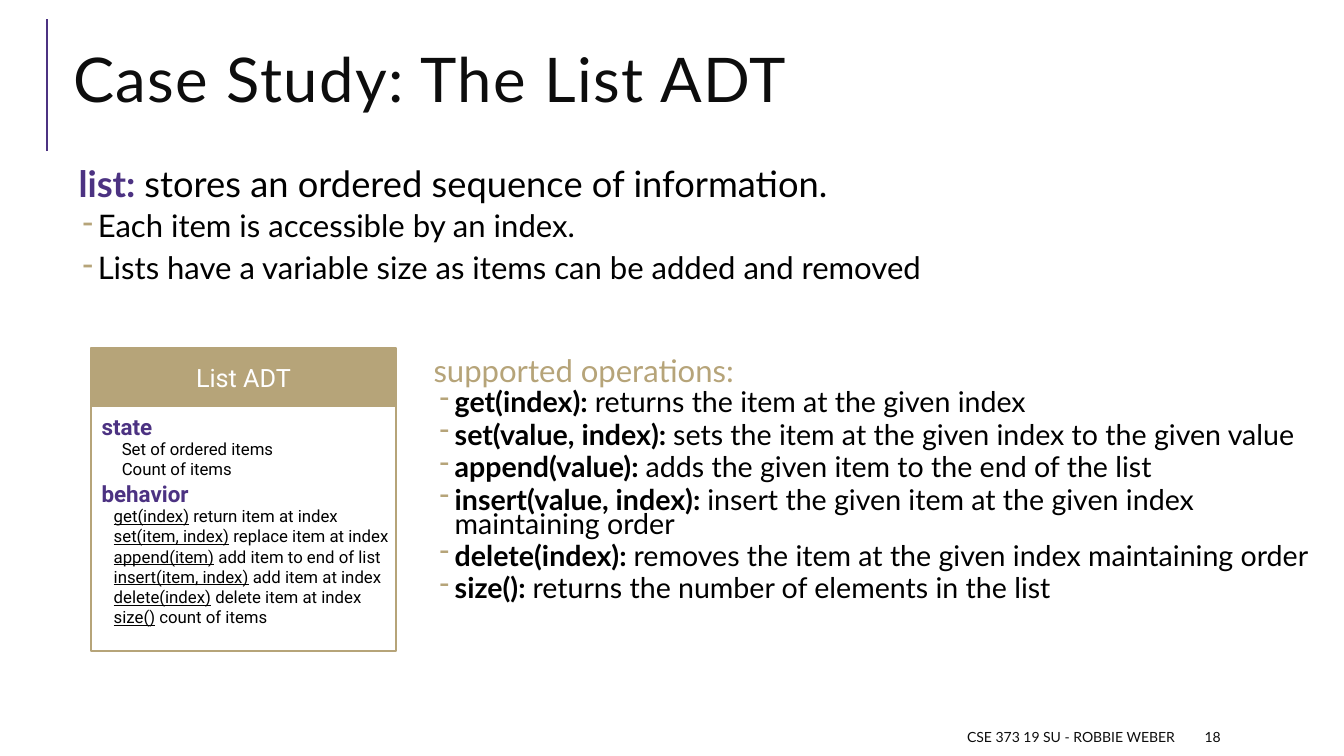
import pptx
import pptx.dml.color
import pptx.enum.shapes
import pptx.enum.text
import pptx.oxml
import pptx.oxml.ns
import pptx.util

Inches = pptx.util.Inches
Pt = pptx.util.Pt
ALIGN = pptx.enum.text.PP_ALIGN
ANCHOR = pptx.enum.text.MSO_ANCHOR
SHAPES = pptx.enum.shapes.MSO_SHAPE

COLORS = {
    "purple": "4C3282",
    "gold": "B6A479",
    "ink": "0D0D0D",
    "black": "000000",
    "white": "FFFFFF",
}

DEFINITION = [("list: ", {"bold": True, "color": "purple"}),
              ("stores an ordered sequence of information.", {})]
PROPERTIES = ["Each item is accessible by an index.",
              "Lists have a variable size as items can be added and removed"]
STATE = ["Set of ordered items", "Count of items"]
BEHAVIOR = [
    ("get(index)", "return item at index"),
    ("set(item, index)", "replace item at index"),
    ("append(item)", "add item to end of list"),
    ("insert(item, index)", "add item at index"),
    ("delete(index)", "delete item at index"),
    ("size()", "count of items"),
]
OPERATIONS = [
    ("get(index):", "returns the item at the given index"),
    ("set(value, index):", "sets the item at the given index to the given value"),
    ("append(value):", "adds the given item to the end of the list"),
    ("insert(value, index):", "insert the given item at the given index maintaining order"),
    ("delete(index):", "removes the item at the given index maintaining order"),
    ("size():", "returns the number of elements in the list"),
]


def rgb(name):
    return pptx.dml.color.RGBColor.from_string(COLORS[name])


def add_dash(paragraph):
    properties = paragraph._p.get_or_add_pPr()
    properties.set("marL", str(Inches(0.29)))
    properties.set("indent", str(Inches(-0.15)))
    color = pptx.oxml.parse_xml(
        f'<a:buClr {pptx.oxml.ns.nsdecls("a")}><a:srgbClr val="{COLORS["gold"]}"/></a:buClr>')
    dash = pptx.oxml.parse_xml(f'<a:buChar {pptx.oxml.ns.nsdecls("a")} char="-"/>')
    properties.extend([color, dash])


def write(frame, runs, *, size, font="Lato", color="black", align=ALIGN.LEFT,
          dash=False, line=1.0, before=0, after=0, indent=0, tracking=0):
    """Add one paragraph; runs is a string or a list of (text, run format) pairs."""
    first = not frame.paragraphs[0].runs
    paragraph = frame.paragraphs[0] if first else frame.add_paragraph()
    paragraph.alignment = align
    paragraph.line_spacing = line
    paragraph.space_before = Pt(0 if first else before)
    paragraph.space_after = Pt(after)
    if dash:
        add_dash(paragraph)
    elif indent:
        paragraph._p.get_or_add_pPr().set("marL", str(Inches(indent)))
    for text, style in [(runs, {})] if isinstance(runs, str) else runs:
        run = paragraph.add_run()
        run.text = text
        run.font.size = Pt(size)
        run.font.name = font
        run.font.bold = style.get("bold", False)
        run.font.underline = style.get("underline", False)
        run.font.color.rgb = rgb(style.get("color", color))
        if tracking:
            run._r.get_or_add_rPr().set("spc", str(tracking * 100))


def add_frame(slide, box, anchor=ANCHOR.TOP, inset=None):
    frame = slide.shapes.add_textbox(*map(Inches, box)).text_frame
    frame.word_wrap = True
    frame.vertical_anchor = anchor
    if inset is not None:
        frame.margin_left = frame.margin_right = Inches(inset)
        frame.margin_top = frame.margin_bottom = Inches(inset)
    return frame


def add_panel(slide, box, fill=None):
    panel = slide.shapes.add_shape(SHAPES.RECTANGLE, *map(Inches, box))
    panel.shadow.inherit = False
    panel.line.color.rgb = rgb("gold")
    panel.line.width = Pt(1.25)
    if fill:
        panel.fill.solid()
        panel.fill.fore_color.rgb = rgb(fill)
    else:
        panel.fill.background()
    return panel


def add_title(slide, box):
    """Title with the purple rule to its left."""
    left, top, width, height = box
    rule = slide.shapes.add_connector(
        pptx.enum.shapes.MSO_CONNECTOR.STRAIGHT,
        Inches(left - 0.16), Inches(top + height + 0.1),
        Inches(left - 0.16), Inches(top - 0.1))
    rule.line.color.rgb = rgb("purple")
    rule.line.width = Pt(1.5)
    rule._element.spPr.append(
        pptx.oxml.parse_xml(f'<a:effectLst {pptx.oxml.ns.nsdecls("a")}/>'))
    write(add_frame(slide, box, ANCHOR.MIDDLE), "Case Study: The List ADT",
          size=44, color="ink", line=0.8, tracking=1)


def add_definition(slide, box):
    frame = add_frame(slide, box, inset=0.05)
    write(frame, DEFINITION, size=25.9, line=0.9, after=2, indent=0.1)
    for fact in PROPERTIES:
        write(frame, fact, size=22.2, dash=True, line=0.9, before=2, after=4)


def add_adt_card(slide, box):
    """Card with a header band above the state and behavior lists."""
    left, top, width, height = box
    band = 0.58
    add_panel(slide, (left, top + band, width, height - band))
    header = add_panel(slide, (left, top, width, band), "gold").text_frame
    header.vertical_anchor = ANCHOR.MIDDLE
    write(header, "List ADT", size=18, font="Roboto", color="white", align=ALIGN.CENTER)

    for heading, offset in (("state", 0.6), ("behavior", 1.26)):
        frame = add_frame(slide, (left + 0.01, top + offset, 2.23, 0.37))
        write(frame, [(heading, {"bold": True})], size=16, font="Roboto", color="purple")
    state = add_frame(slide, (left + 0.21, top + 0.85, 2.04, 0.5))
    for item in STATE:
        write(state, item, size=12, font="Roboto")
    behavior = add_frame(slide, (left + 0.13, top + 1.52, 2.94, 1.31))
    for call, effect in BEHAVIOR:
        write(behavior, [(call, {"underline": True}), (f" {effect}", {})],
              size=12, font="Roboto")


def add_operations(slide, box):
    frame = add_frame(slide, box, inset=0.05)
    write(frame, "supported operations:", size=22.2, color="gold", line=0.7,
          after=2, indent=0.08)
    for call, effect in OPERATIONS:
        write(frame, [(f"{call} ", {"bold": True}), (effect, {})], size=20.4,
              dash=True, line=0.7, before=2, after=4)


def add_footer(slide, box):
    """Course line on the left and page number on the right."""
    left, top, width, height = box
    number_width = 1.06
    course = add_frame(slide, (left, top, width - number_width - 0.1, height), ANCHOR.MIDDLE)
    write(course, "CSE 373 19 SU - ROBBIE WEBER", size=10, color="ink", align=ALIGN.RIGHT)
    number = add_frame(slide, (left + width - number_width, top, number_width, height),
                       ANCHOR.MIDDLE)
    write(number, "18", size=10, color="ink")


def main():
    deck = pptx.Presentation()
    deck.slide_width, deck.slide_height = Inches(13.33), Inches(7.5)
    slide = deck.slides.add_slide(deck.slide_layouts[6])
    add_title(slide, (0.63, 0.29, 12.23, 1.11))
    add_definition(slide, (0.63, 1.6, 8.94, 1.5))
    add_adt_card(slide, (0.9, 3.45, 3.03, 3.01))
    add_operations(slide, (4.17, 3.54, 8.94, 2.71))
    add_footer(slide, (5.3, 7.16, 7.61, 0.3))
    deck.save("out.pptx")


if __name__ == "__main__":
    main()
